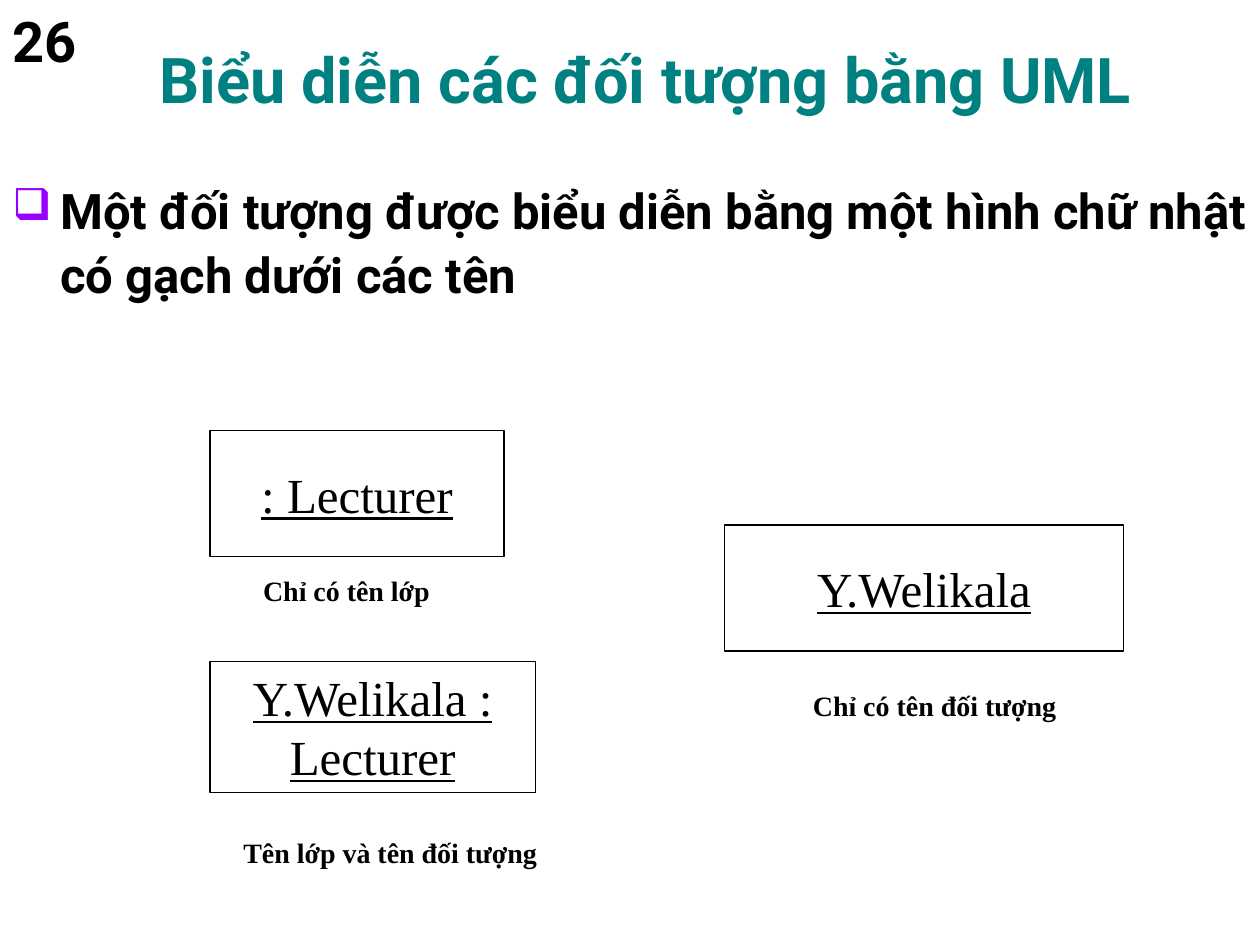
from pptx import Presentation
from pptx.dml.color import RGBColor
from pptx.enum.shapes import MSO_SHAPE
from pptx.enum.text import MSO_ANCHOR, PP_ALIGN
from pptx.oxml import parse_xml
from pptx.oxml.ns import nsdecls
from pptx.util import Inches, Pt

COLORS = {"title": "008080", "text": "000000", "bullet": "9900FF", "paper": "FFFFFF"}
HEADING_FONT, DIAGRAM_FONT = "Roboto", "Times New Roman"
WIDTH, HEIGHT = 10, 7.5
COLUMNS, ROWS = 120, 90

TITLE = "Biểu diễn các đối tượng bằng UML"
STATEMENT = "Một đối tượng được biểu diễn bằng một hình chữ nhật có gạch dưới các tên"
PAGE_NUMBER = "26"

OBJECTS = [
    (": Lecturer", (20, 41, 28, 12), MSO_ANCHOR.MIDDLE),
    ("Y.Welikala : Lecturer", (20, 63, 31, 12.5), MSO_ANCHOR.TOP),
    ("Y.Welikala", (69, 50, 38, 12), MSO_ANCHOR.MIDDLE),
]
CAPTIONS = [
    ("Chỉ có tên lớp", (20, 54, 26, 4.4), PP_ALIGN.CENTER),
    ("Tên lớp và tên đối tượng", (22, 79, 35, 4.4), PP_ALIGN.LEFT),
    ("Chỉ có tên đối tượng", (76, 65, 26, 4.4), PP_ALIGN.CENTER),
]


def place(cell):
    left, top, width, height = cell
    column, row = WIDTH / COLUMNS, HEIGHT / ROWS
    return [Inches(n) for n in (left * column, top * row, width * column, height * row)]


def write(holder, text, size, font, color="text", bold=False, underline=False,
          align=PP_ALIGN.LEFT, anchor=MSO_ANCHOR.TOP):
    frame = holder.text_frame
    frame.word_wrap = True
    frame.vertical_anchor = anchor
    paragraph = frame.paragraphs[0]
    paragraph.alignment = align
    run = paragraph.add_run()
    run.text = text
    run.font.size = Pt(size)
    run.font.name = font
    run.font.bold = bold
    run.font.underline = underline
    run.font.color.rgb = RGBColor.from_string(COLORS[color])
    return paragraph


def add_label(slide, cell, *content, **style):
    return write(slide.shapes.add_textbox(*place(cell)), *content, **style)


def add_object(slide, name, cell, anchor):
    box = slide.shapes.add_shape(MSO_SHAPE.RECTANGLE, *place(cell))
    box.shadow.inherit = False
    box.fill.solid()
    box.fill.fore_color.rgb = RGBColor.from_string(COLORS["paper"])
    box.line.color.rgb = RGBColor.from_string(COLORS["text"])
    box.line.width = Pt(0.75)
    write(box, name, 28, DIAGRAM_FONT, underline=True,
          align=PP_ALIGN.CENTER, anchor=anchor)


def add_bullet(paragraph, indent):
    paragraph.line_spacing = 1.1
    properties = paragraph._p.get_or_add_pPr()
    properties.set("marL", str(Inches(indent)))
    properties.set("indent", str(-Inches(indent)))
    for element in (
        f'<a:buClr {nsdecls("a")}><a:srgbClr val="{COLORS["bullet"]}"/></a:buClr>',
        f'<a:buSzPct {nsdecls("a")} val="90000"/>',
        f'<a:buChar {nsdecls("a")} char="❑"/>',
    ):
        properties.append(parse_xml(element))


def main():
    deck = Presentation()
    deck.slide_width, deck.slide_height = Inches(WIDTH), Inches(HEIGHT)
    slide = deck.slides.add_slide(deck.slide_layouts[6])

    add_label(slide, (3, 0, 117, 15), TITLE, 36, HEADING_FONT, color="title",
              bold=True, align=PP_ALIGN.CENTER, anchor=MSO_ANCHOR.MIDDLE)
    statement = add_label(slide, (0, 16, 120, 21), STATEMENT, 28, HEADING_FONT, bold=True)
    add_bullet(statement, 0.38)
    for name, cell, anchor in OBJECTS:
        add_object(slide, name, cell, anchor)
    for caption, cell, align in CAPTIONS:
        add_label(slide, cell, caption, 16, DIAGRAM_FONT, bold=True, align=align)
    add_label(slide, (0, 0, 13, 8.5), PAGE_NUMBER, 32, HEADING_FONT, bold=True)

    deck.save("out.pptx")


if __name__ == "__main__":
    main()
